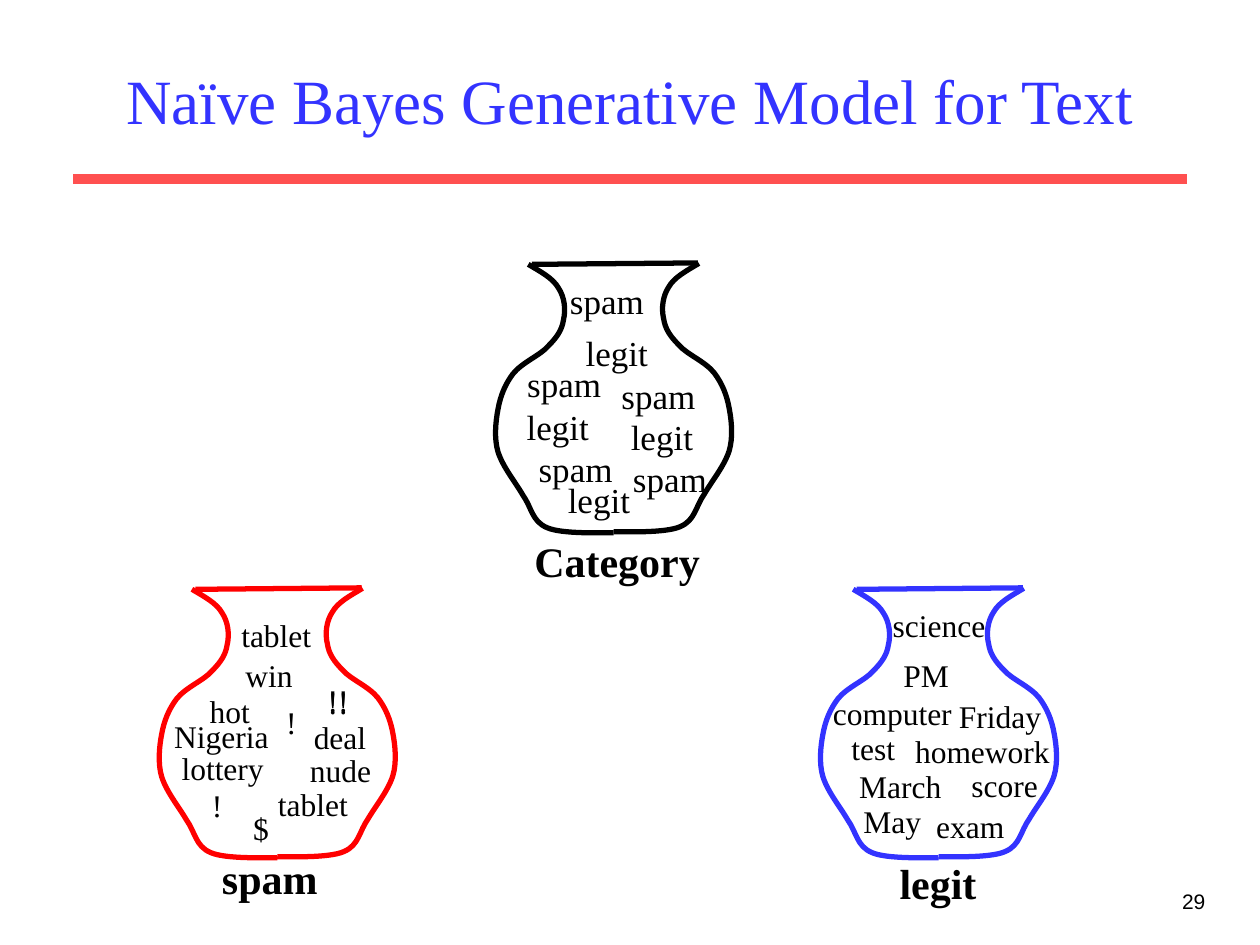
import pptx
import pptx.util
import pptx.dml.color
import pptx.enum.shapes
import pptx.enum.text
import pptx.oxml.ns
from dataclasses import dataclass
from lxml import etree

Cm, Pt = pptx.util.Cm, pptx.util.Pt
qn = pptx.oxml.ns.qn
ALIGN = pptx.enum.text.PP_ALIGN
ANCHOR = pptx.enum.text.MSO_ANCHOR


@dataclass(frozen=True)
class Theme:
    serif: str = "Times New Roman"
    sans: str = "Arial"
    black: str = "000000"
    blue: str = "3333FF"
    red: str = "FF0000"
    rule: str = "FF5050"
    title: int = 36
    label: int = 24
    category_word: int = 20
    word: int = 18
    number: int = 12
    outline: int = 3
    rule_width: int = 6


THEME = Theme()

# Left half of an urn: start point, then cubic segments (two controls, end), in cm.
URN_W = 4.82
URN_CURVE = [
    (0.69, 0.00),
    (0.94, 0.15), (1.19, 0.28), (1.30, 0.48),
    (1.42, 0.66), (1.45, 0.91), (1.40, 1.12),
    (1.37, 1.32), (1.27, 1.47), (1.09, 1.65),
    (0.94, 1.83), (0.56, 1.98), (0.38, 2.21),
    (0.23, 2.41), (0.13, 2.64), (0.08, 2.92),
    (0.03, 3.18), (0.00, 3.51), (0.08, 3.78),
    (0.18, 4.09), (0.43, 4.39), (0.58, 4.65),
    (0.76, 4.90), (0.76, 5.18), (1.07, 5.31),
    (1.37, 5.44), (2.18, 5.41), (2.41, 5.41),
]

SPAM_W, LEGIT_W = 2.01, 1.75

# Each urn: left, top, colour, word size, label, words; a text is (text, x, y, width).
URNS = [
    (9.96, 5.31, THEME.black, THEME.category_word, ("Category", 0.56, 5.36, 3.84), [
        ("spam", 1.27, 0.20, SPAM_W), ("legit", 1.60, 1.24, LEGIT_W),
        ("spam", 0.41, 1.88, SPAM_W), ("spam", 2.31, 2.11, SPAM_W),
        ("legit", 0.41, 2.74, LEGIT_W), ("legit", 2.51, 2.95, LEGIT_W),
        ("spam", 0.64, 3.58, SPAM_W), ("spam", 2.54, 3.78, SPAM_W),
        ("legit", 1.24, 4.22, LEGIT_W),
    ]),
    (3.18, 11.86, THEME.red, THEME.word, ("spam", 1.04, 5.21, 2.44), [
        ("tablet", 1.27, 0.43, 2.24), ("win", 1.52, 1.24, 1.45),
        ("!!", 3.18, 1.75, 0.91), ("!!", 3.18, 1.78, 0.91),
        ("hot", 0.79, 1.96, 1.32), ("!", 2.34, 2.18, 0.71),
        ("Nigeria", 0.08, 2.46, 2.41), ("deal", 2.90, 2.49, 1.55),
        ("lottery", 0.23, 3.12, 2.16), ("nude", 2.82, 3.15, 1.73),
        ("tablet", 2.01, 3.84, 2.24), ("!", 0.84, 3.86, 0.71),
        ("$", 1.68, 4.32, 0.81),
    ]),
    (16.51, 11.86, THEME.blue, THEME.word, ("legit", 1.37, 5.31, 2.06), [
        ("science", 1.24, 0.23, 2.36), ("PM", 1.45, 1.24, 1.42),
        ("computer", 0.03, 2.01, 2.90), ("Friday", 2.57, 2.06, 2.16),
        ("test", 0.41, 2.72, 1.37), ("homework", 1.68, 2.77, 3.23),
        ("score", 2.82, 3.45, 1.85), ("March", 0.56, 3.48, 2.16),
        ("May", 0.64, 4.19, 1.68), ("exam", 2.11, 4.29, 1.88),
    ]),
]


def rgb(color):
    return pptx.dml.color.RGBColor.from_string(color)


def add_text(s, text, box, size, color=THEME.black, font=THEME.serif, bold=False,
             align=ALIGN.CENTER, anchor=ANCHOR.TOP, wrap=False):
    tf = s.shapes.add_textbox(*(Cm(v) for v in box)).text_frame
    tf.word_wrap = wrap
    tf.vertical_anchor = anchor
    if not wrap:
        tf.auto_size = pptx.enum.text.MSO_AUTO_SIZE.SHAPE_TO_FIT_TEXT
        tf.margin_left = tf.margin_right = Cm(0.2)
    p = tf.paragraphs[0]
    p.alignment = align
    r = p.add_run()
    r.text = text
    r.font.name, r.font.size, r.font.bold = font, Pt(size), bold
    r.font.color.rgb = rgb(color)


def add_line(shapes, x1, y1, x2, y2, color, width):
    line = shapes.add_connector(pptx.enum.shapes.MSO_CONNECTOR.STRAIGHT,
                                Cm(x1), Cm(y1), Cm(x2), Cm(y2))
    line.line.color.rgb = rgb(color)
    line.line.width = Pt(width)
    etree.SubElement(line.element.spPr, qn("a:effectLst"))


def add_curve(shapes, points, color):
    """Draw an open curve; after the start, every three points are one cubic segment."""
    points = [(Cm(x), Cm(y)) for x, y in points]
    builder = shapes.build_freeform(*points[0])
    builder.add_line_segments(points[1:], close=False)
    sp = builder.convert_to_shape()
    sp.shadow.inherit = False
    sp.fill.background()
    sp.line.color.rgb = rgb(color)
    sp.line.width = Pt(THEME.outline)
    steps = list(sp.element.iter(qn("a:lnTo")))
    for i in range(0, len(steps), 3):
        cubic = etree.Element(qn("a:cubicBezTo"))
        steps[i].addprevious(cubic)
        for step in steps[i:i + 3]:
            cubic.append(step[0])
            step.getparent().remove(step)


def add_urn_outline(s, left, top, color):
    shapes = s.shapes.add_group_shape().shapes
    add_curve(shapes, [(left + x, top + 0.02 + y) for x, y in URN_CURVE], color)
    add_curve(shapes, [(left + URN_W - x, top + y) for x, y in URN_CURVE], color)
    add_line(shapes, left + 0.76, top + 0.02, left + 4.11, top - 0.01, color, THEME.outline)


def add_urn(s, left, top, color, size, label, words):
    add_urn_outline(s, left, top, color)
    height = 1.11 if size == THEME.category_word else 1.03
    for text, x, y, w in words:
        add_text(s, text, (left + x, top + y, w, height), size)
    text, x, y, w = label
    add_text(s, text, (left + x, top + y, w, 1.28), THEME.label, bold=True)


def add_header(s, left, top, width, height):
    add_text(s, "Naïve Bayes Generative Model for Text", (left, top, width, height),
             THEME.title, THEME.blue, anchor=ANCHOR.MIDDLE, wrap=True)
    y = top + height + 0.23
    add_line(s.shapes, left - 0.42, y, left + width + 0.42, y, THEME.rule, THEME.rule_width)


def add_slide_number(s, left, top, width, height):
    add_text(s, "29", (left, top, width, height), THEME.number, font=THEME.sans,
             align=ALIGN.RIGHT, wrap=True)


def main():
    prs = pptx.Presentation()
    prs.slide_width, prs.slide_height = Cm(25.4), Cm(19.05)
    s = prs.slides.add_slide(prs.slide_layouts[6])
    add_header(s, 1.9, 0.64, 21.6, 2.74)
    for urn in URNS:
        add_urn(s, *urn)
    add_slide_number(s, 19.27, 17.78, 5.28, 1.27)
    prs.save("out.pptx")


if __name__ == "__main__":
    main()
